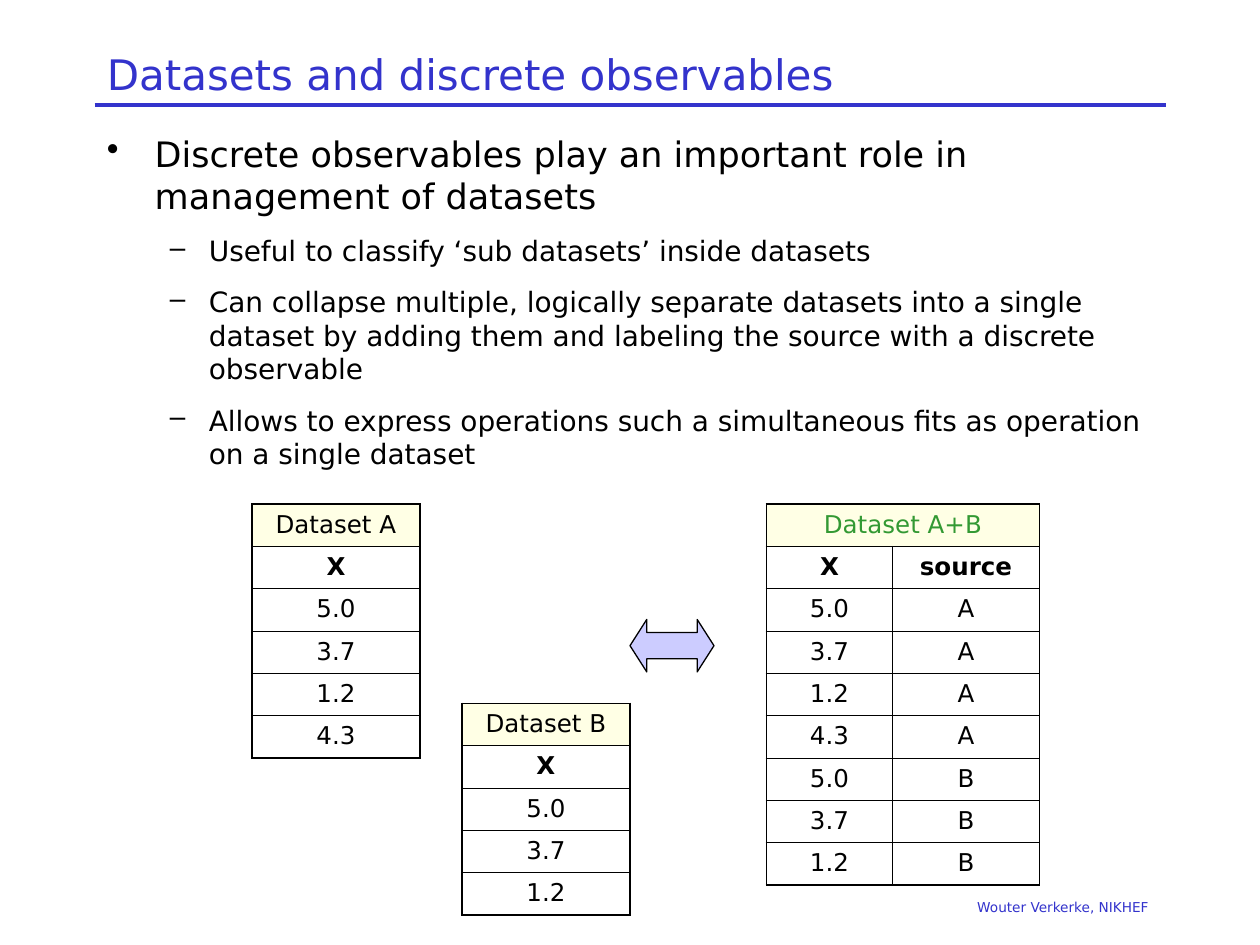
import pptx
import pptx.chart.data
import pptx.dml.color
import pptx.enum.dml
import pptx.enum.shapes
import pptx.enum.text
import pptx.oxml
import pptx.oxml.ns
import pptx.util

TITLE = "Datasets and discrete observables"
CREDIT = "Wouter Verkerke, NIKHEF "
POINTS = [
    (0, "Discrete observables play an important role in management of datasets"),
    (1, "Useful to classify ‘sub datasets’ inside datasets"),
    (1, "Can collapse multiple, logically separate datasets into a single dataset "
        "by adding them and labeling the source with a discrete observable"),
    (1, "Allows to express operations such a simultaneous fits as operation "
        "on a single dataset"),
]
LEVELS = [
    {"bullet": "•", "size": 20, "before": 0, "margin": 0.38, "hang": 0.38},
    {"bullet": "–", "size": 16, "before": 10, "margin": 0.81, "hang": 0.31},
]
SAMPLES = {"A": ["5.0", "3.7", "1.2", "4.3"], "B": ["5.0", "3.7", "1.2"]}
COMBINED = [[x, source] for source, values in SAMPLES.items() for x in values]
DATASETS = [
    {"name": "Dataset A", "color": "000000", "at": (24, 48), "columns": [16],
     "rows": [["X"]] + [[x] for x in SAMPLES["A"]]},
    {"name": "Dataset B", "color": "000000", "at": (44, 67), "columns": [16],
     "rows": [["X"]] + [[x] for x in SAMPLES["B"]]},
    {"name": "Dataset A+B", "color": "339933", "at": (73, 48), "columns": [12, 14],
     "rows": [["X", "source"]] + COMBINED},
]

FONT = "DejaVu Sans"
BLUE, BLACK = "3333CC", "000000"
ROW_HEIGHT = pptx.util.Pt(24.2)
OUTER, INNER = 1.08, 0.45
ALIGN = pptx.enum.text.PP_ALIGN
ANCHOR = pptx.enum.text.MSO_ANCHOR

deck = pptx.Presentation()
deck.slide_width, deck.slide_height = pptx.util.Inches(10), pptx.util.Inches(7.5)
slide = deck.slides.add_slide(deck.slide_layouts[6])


def grid(*steps):
    return [round(step * deck.slide_width / 120) for step in steps]


def rgb(value):
    return pptx.dml.color.RGBColor.from_string(value)


def xml(markup):
    return pptx.oxml.parse_xml(markup.replace(" ", f" {pptx.oxml.ns.nsdecls('a')} ", 1))


def write(paragraph, text, size, color, align=ALIGN.LEFT, bold=False):
    paragraph.alignment = align
    run = paragraph.add_run()
    run.text = text
    for name, value in {"name": FONT, "size": pptx.util.Pt(size), "bold": bold}.items():
        setattr(run.font, name, value)
    run.font.color.rgb = rgb(color)


def text_frame(box, anchor=ANCHOR.TOP):
    frame = slide.shapes.add_textbox(*grid(*box)).text_frame
    frame.word_wrap = True
    frame.vertical_anchor = anchor
    return frame


def add_point(paragraph, level, text):
    style = LEVELS[level]
    paragraph.level = level
    properties = paragraph._p.get_or_add_pPr()
    properties.set("marL", str(pptx.util.Inches(style["margin"])))
    properties.set("indent", str(-pptx.util.Inches(style["hang"])))
    properties.append(xml(f'<a:buChar char="{style["bullet"]}"/>'))
    paragraph.space_before = pptx.util.Pt(style["before"])
    write(paragraph, text, style["size"], BLACK)


def add_borders(cell, sides):
    properties = cell._tc.get_or_add_tcPr()
    for index, (side, width) in enumerate(sides.items()):
        properties.insert(index, xml(
            f'<a:ln{side} w="{pptx.util.Pt(width)}"><a:solidFill>'
            f'<a:srgbClr val="{BLACK}"/></a:solidFill></a:ln{side}>'))


def add_dataset(dataset):
    columns = dataset["columns"]
    header = [dataset["name"]] + [""] * (len(columns) - 1)
    rows = [header] + dataset["rows"]
    table = slide.shapes.add_table(
        len(rows), len(columns), *grid(*dataset["at"], sum(columns)),
        ROW_HEIGHT * len(rows)).table
    table.first_row = table.horz_banding = False
    for column, width in zip(table.columns, grid(*columns)):
        column.width = width
    for r, row in enumerate(rows):
        table.rows[r].height = ROW_HEIGHT
        for c, text in enumerate(row):
            cell = table.cell(r, c)
            if r == 0:
                cell.fill.solid()
                cell.fill.fore_color.rgb = rgb("FFFFCC")
                tint = cell._tc.tcPr.find(".//" + pptx.oxml.ns.qn("a:srgbClr"))
                tint.append(xml('<a:alpha val="50000"/>'))
            else:
                cell.fill.background()
            add_borders(cell, {
                "L": OUTER if c == 0 else INNER,
                "R": OUTER if c == len(columns) - 1 or r == 0 else INNER,
                "T": OUTER if r == 0 else INNER,
                "B": OUTER if r == len(rows) - 1 else INNER,
            })
            if text:
                write(cell.text_frame.paragraphs[0], text, 14,
                      dataset["color"] if r == 0 else BLACK, ALIGN.CENTER, r == 1)
    if len(columns) > 1:
        table.cell(0, 0).merge(table.cell(0, len(columns) - 1))


rule = slide.shapes.add_connector(
    pptx.enum.shapes.MSO_CONNECTOR.STRAIGHT, *grid(9, 10, 111, 10))
rule.line.color.rgb = rgb(BLUE)
rule.line.width = pptx.util.Pt(2)
rule._element.spPr.append(xml("<a:effectLst />"))

write(text_frame((9, 85, 102, 3)).paragraphs[0], CREDIT, 7.8, BLUE, ALIGN.RIGHT)
write(text_frame((9, 4, 102, 6), ANCHOR.MIDDLE).paragraphs[0], TITLE, 24, BLUE)

body = text_frame((9, 12, 102, 70))
for number, (level, text) in enumerate(POINTS):
    add_point(body.add_paragraph() if number else body.paragraphs[0], level, text)

for dataset in DATASETS:
    add_dataset(dataset)

exchange = slide.shapes.add_shape(
    pptx.enum.shapes.MSO_SHAPE.LEFT_RIGHT_ARROW, *grid(60, 59, 8, 5))
exchange.shadow.inherit = False
exchange.adjustments[0], exchange.adjustments[1] = 0.5, 0.32
exchange.fill.solid()
exchange.fill.fore_color.rgb = rgb("CCCCFF")
exchange.line.color.rgb = rgb(BLACK)
exchange.line.width = pptx.util.Pt(0.75)

deck.save("out.pptx")
